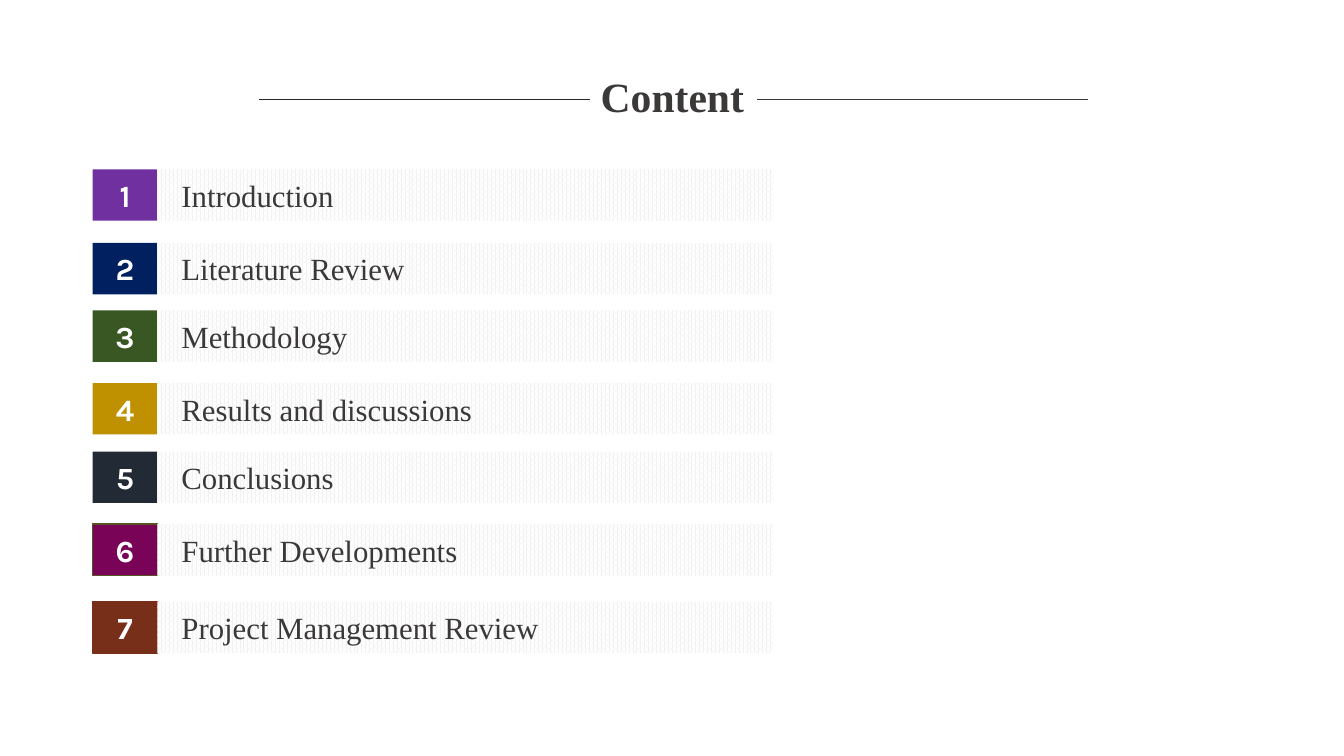
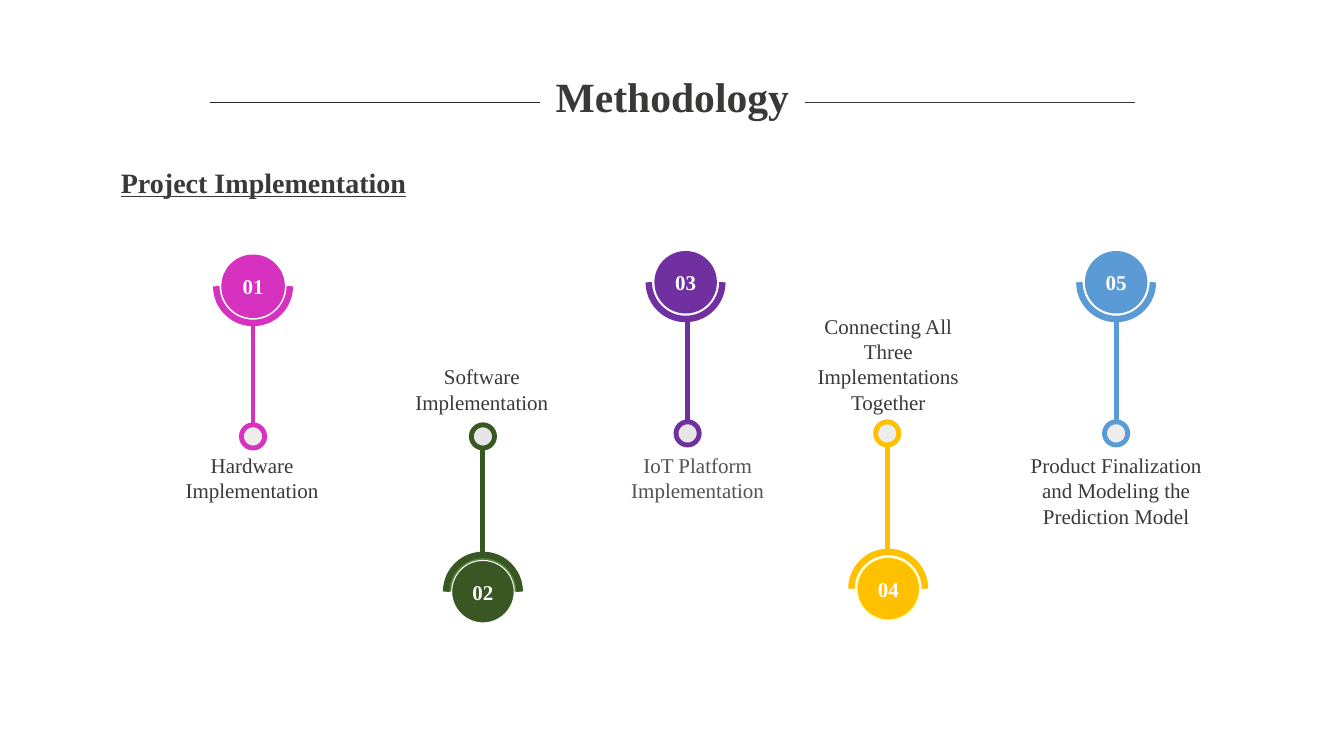
from dataclasses import dataclass

from lxml import etree
from pptx import Presentation
from pptx.dml.color import RGBColor
from pptx.enum.dml import MSO_PATTERN
from pptx.enum.shapes import MSO_CONNECTOR, MSO_SHAPE
from pptx.enum.text import MSO_ANCHOR, PP_ALIGN
from pptx.oxml.ns import qn
from pptx.util import Inches, Pt

RECTANGLE, OVAL, ARC = MSO_SHAPE.RECTANGLE, MSO_SHAPE.OVAL, MSO_SHAPE.ARC
LEFT, CENTER = PP_ALIGN.LEFT, PP_ALIGN.CENTER
TOP, MIDDLE, BOTTOM = MSO_ANCHOR.TOP, MSO_ANCHOR.MIDDLE, MSO_ANCHOR.BOTTOM
STRAIGHT = MSO_CONNECTOR.STRAIGHT
DOTTED = MSO_PATTERN.PERCENT_75


@dataclass(frozen=True)
class Theme:
    """Colours, fonts and sizes that the slides share."""
    ink: str = "3B3838"
    soft_ink: str = "525252"
    white: str = "FFFFFF"
    bar_dots: str = "F2F2F2"
    rule_left: str = "262626"
    serif: str = "Times New Roman"
    number_font: str = "Karla"
    title_size: float = 29.7
    agenda_size: float = 22
    subtitle_size: float = 20
    step_size: float = 15
    rule_width: float = 0.5
    stem_width: float = 3.5
    ring_width: float = 4.63


THEME = Theme()

# Title, line height, start of the left and right rules
CONTENT_TITLE = ("Content", 0.99, 2.57, 7.51)
METHOD_TITLE = ("Methodology", 1.02, 2.08, 7.98)
RULE_LENGTH = 3.28

# Top, label, tile colour, tile outline
AGENDA = [
    (1.68, "Introduction", "7030A0", None),
    (2.41, "Literature Review", "002060", None),
    (3.08, "Methodology", "385723", None),
    (3.8, "Results and discussions", "BF9000", None),
    (4.48, "Conclusions", "222A35", None),
    (5.2, "Further Developments", "790357", "585123"),
    (5.97, "Project Management Review", "772F1A", "772F1A"),
]
TILE_LEFT, TILE_WIDTH, BAR_WIDTH, ROW_HEIGHT = 0.92, 0.64, 6.11, 0.51

SUBTITLE = "Project Implementation"
# Label, its centre, its colour
LABELS = [
    ("Hardware Implementation", 2.5, THEME.ink),
    ("Software Implementation", 4.78, THEME.ink),
    ("IoT Platform Implementation", 6.92, THEME.soft_ink),
    ("Connecting All Three Implementations Together", 8.81, THEME.ink),
    ("Product Finalization and Modeling the Prediction Model", 11.07, THEME.ink),
]
# Colour, badge outline, ring fill, dot fill, stem x, badge x, badge y, dot y
PINS = [
    ("D632BF", "D632BF", None, "EDEDED", 2.51, 2.51, 2.84, 4.33),
    ("385723", "FFFFFF", "548235", "E7E6E6", 4.79, 4.79, 5.87, 4.33),
    ("7030A0", None, None, "E7E6E6", 6.82, 6.8, 2.8, 4.3),
    ("FFC000", "FFFF99", None, "EDEDED", 8.8, 8.81, 5.84, 4.3),
    ("5B9BD5", None, None, "EDEDED", 11.07, 11.07, 2.8, 4.3),
]
BADGE, RING, DOT = 0.62, 0.73, 0.23
LABEL_WIDTH, LABEL_HEIGHT = 1.77, 1.01
LABEL_BELOW, LABEL_ABOVE = 4.49, 4.11


def rgb(code):
    """Turn a hex code into a colour."""
    return RGBColor.from_string(code)


def write(box, text, size, color=THEME.ink, font=THEME.serif, bold=False,
          underline=False, align=CENTER, anchor=MIDDLE, insets=(0.1, 0.05, 0.1, 0.05)):
    """Put one formatted paragraph in a shape or text box."""
    frame = box.text_frame
    frame.word_wrap = True
    frame.vertical_anchor = anchor
    (frame.margin_left, frame.margin_top,
     frame.margin_right, frame.margin_bottom) = map(Inches, insets)
    para = frame.paragraphs[0]
    para.alignment = align
    span = para.add_run()
    span.text = text
    span.font.name, span.font.size = font, Pt(size)
    span.font.bold, span.font.underline = bold, underline
    span.font.color.rgb = rgb(color)


def add_text(page, area, text, size, **style):
    """Add a text box."""
    write(page.shapes.add_textbox(*map(Inches, area)), text, size, **style)


def add_box(page, kind, area, fill=None, outline=None, width=1):
    """Add a preset shape without shadow."""
    box = page.shapes.add_shape(kind, *map(Inches, area))
    box.shadow.inherit = False
    if fill:
        box.fill.solid()
        box.fill.fore_color.rgb = rgb(fill)
    else:
        box.fill.background()
    if outline:
        box.line.color.rgb = rgb(outline)
        box.line.width = Pt(width)
    else:
        box.line.fill.background()
    return box


def add_line(page, start, end, color, width):
    """Add a straight connector without shadow."""
    line = page.shapes.add_connector(STRAIGHT, *map(Inches, start + end))
    line.line.color.rgb = rgb(color)
    line.line.width = Pt(width)
    etree.SubElement(line.element.spPr, qn("a:effectLst"))


def around(x, y, size):
    """Give the square area centred on a point."""
    return x - size / 2, y - size / 2, size, size


def add_page(deck, title, rule_y, *rule_starts):
    """Add a blank page with a title between two rules."""
    page = deck.slides.add_slide(deck.slide_layouts[6])
    add_text(page, (0.92, 0.4, 11.5, 1.19), title, THEME.title_size,
             bold=True, insets=(0.1, 0.05, 0.1, 0.13))
    for x, color in zip(rule_starts, (THEME.rule_left, THEME.ink)):
        add_line(page, (x, rule_y), (x + RULE_LENGTH, rule_y), color, THEME.rule_width)
    return page


def add_agenda_row(page, number, top, label, color, outline):
    """Add a numbered tile and its dotted bar."""
    tile = add_box(page, RECTANGLE, (TILE_LEFT, top, TILE_WIDTH, ROW_HEIGHT), color, outline)
    write(tile, str(number), THEME.agenda_size, color=THEME.white,
          font=THEME.number_font, bold=True)
    bar = add_box(page, RECTANGLE, (TILE_LEFT + TILE_WIDTH, top, BAR_WIDTH, ROW_HEIGHT))
    bar.fill.patterned()
    bar.fill.pattern = DOTTED
    bar.fill.fore_color.rgb = rgb(THEME.bar_dots)
    bar.fill.back_color.rgb = rgb(THEME.white)
    write(bar, label, THEME.agenda_size, align=LEFT, insets=(0.24, 0.05, 0.1, 0.05))


def add_pin(page, number, color, outline, ring_fill, dot_fill, stem_x, badge_x, badge_y, dot_y):
    """Add a badge in a half ring, joined by a stem to a dot."""
    hangs = badge_y > dot_y
    toward_dot = -1 if hangs else 1
    ring = add_box(page, ARC, around(badge_x, badge_y, RING), ring_fill, color, THEME.ring_width)
    ring.adjustments[0], ring.adjustments[1] = (108, 0) if hangs else (0, 108)
    add_line(page, (stem_x, dot_y - toward_dot * DOT / 2),
             (stem_x, badge_y + toward_dot * RING / 2), color, THEME.stem_width)
    add_box(page, OVAL, around(stem_x, dot_y, DOT), dot_fill, color, THEME.stem_width)
    badge = add_box(page, OVAL, around(badge_x, badge_y, BADGE), color, outline, 0.75)
    write(badge, f"{number:02}", THEME.step_size, color=THEME.white, bold=True,
          insets=(0.07, 0.04, 0.07, 0.04))


def add_label(page, number, text, center, color):
    """Add a step label, below the dot for odd steps and above it for even ones."""
    above = number % 2 == 0
    top = LABEL_ABOVE - LABEL_HEIGHT if above else LABEL_BELOW
    add_text(page, (center - LABEL_WIDTH / 2, top, LABEL_WIDTH, LABEL_HEIGHT), text,
             THEME.step_size, color=color, anchor=BOTTOM if above else TOP,
             insets=(0, 0, 0, 0))


def build():
    """Build and save the deck."""
    deck = Presentation()
    deck.slide_width, deck.slide_height = Inches(13.33), Inches(7.5)

    content = add_page(deck, *CONTENT_TITLE)
    for number, row in enumerate(AGENDA, 1):
        add_agenda_row(content, number, *row)

    method = add_page(deck, *METHOD_TITLE)
    add_text(method, (1.1, 1.59, 4.18, 0.44), SUBTITLE, THEME.subtitle_size,
             bold=True, underline=True, align=LEFT, anchor=TOP)
    for number, (pin, label) in enumerate(zip(PINS, LABELS), 1):
        add_pin(method, number, *pin)
        add_label(method, number, *label)

    deck.save("out.pptx")


build()
